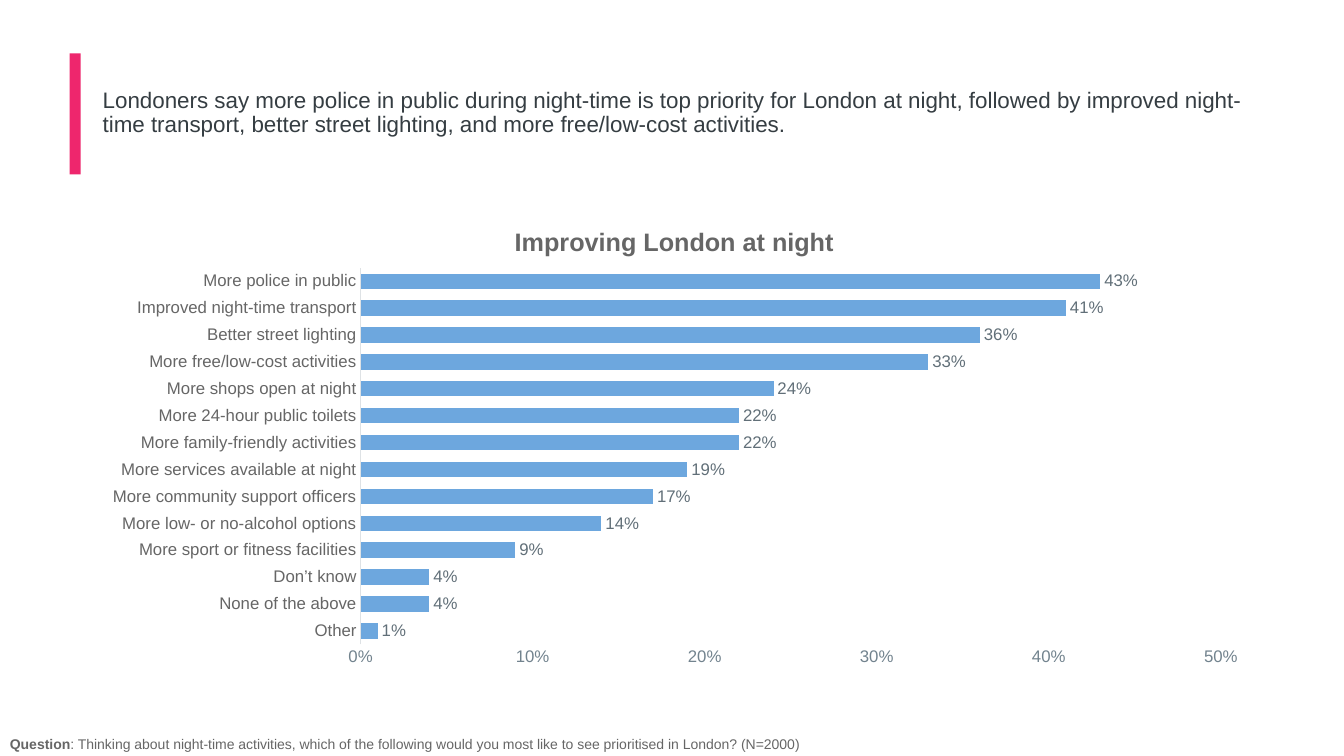
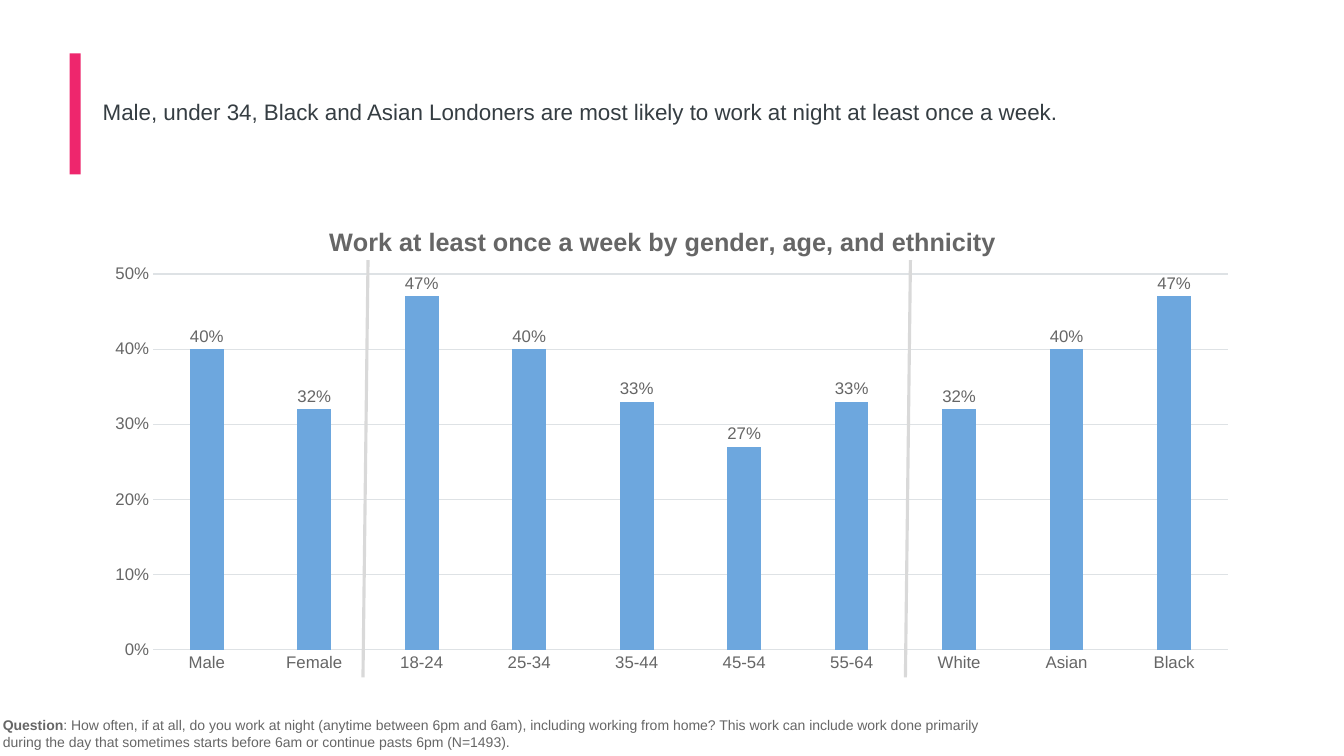
from dataclasses import dataclass

from lxml import etree
from pptx import Presentation, chart as charts
from pptx import util as u
from pptx.chart.data import CategoryChartData
from pptx.dml.color import RGBColor
from pptx.enum import chart as chart_enum, shapes, text
from pptx.oxml import ns

# Shared style
FONT = "Arial"
PINK, BLUE = "EE266D", "6DA7DE"
INK, GREY, SLATE, STEEL = "353D42", "666666", "72838E", "616F78"
GRID, DIVIDER = "DEE2E5", "D9D9D9"
CHART_LEFT, CHART_TOP, CHART_WIDTH, CHART_HEIGHT = 0.92, 2, 11.5, 4.76


@dataclass
class BarChart:
    title: str
    title_at: tuple[float, float]
    plot_at: tuple[float, float, float, float]
    kind: chart_enum.XL_CHART_TYPE
    values: dict[str, float]
    number_format: str
    gap: int
    overlap: int
    gridlines: bool
    scale_color: str
    label_color: str


@dataclass
class Footer:
    left: float
    top: float
    width: float
    height: float
    question: str


@dataclass
class Divider:
    top_x: float
    bottom_x: float
    top: float = 2.58
    bottom: float = 6.72


@dataclass
class Page:
    title: str
    title_width: float
    chart: BarChart
    footer: Footer
    dividers: tuple[Divider, ...] = ()


def color(value: str) -> RGBColor:
    return RGBColor.from_string(value)


def style_font(font, size: float, value: str, bold: bool = False) -> None:
    font.name, font.size, font.bold = FONT, u.Pt(size), bold
    font.color.rgb = color(value)


def style_line(line, value: str, width: float) -> None:
    line.color.rgb = color(value)
    line.width = u.Pt(width)


def add_text_box(page, left: float, top: float, width: float, height: float):
    box = page.shapes.add_textbox(u.Inches(left), u.Inches(top), u.Inches(width), u.Inches(height))
    box.text_frame.word_wrap = True
    return box.text_frame


# Title with its pink band
def add_title(page, title: str, width: float) -> None:
    band = page.shapes.add_shape(shapes.MSO_SHAPE.RECTANGLE, u.Inches(0.69), u.Inches(0.53),
                                 u.Inches(0.11), u.Inches(1.2))
    band.shadow.inherit = False
    band.fill.solid()
    band.fill.fore_color.rgb = color(PINK)
    band.line.fill.background()

    frame = add_text_box(page, CHART_LEFT, 0.4, width, 1.45)
    frame.vertical_anchor = text.MSO_ANCHOR.MIDDLE
    para = frame.paragraphs[0]
    para.text = title
    para.line_spacing = 0.9
    style_font(para.font, 16, INK)


# Survey question at the foot
def add_footer(page, footer: Footer) -> None:
    frame = add_text_box(page, footer.left, footer.top, footer.width, footer.height)
    frame.auto_size = text.MSO_AUTO_SIZE.SHAPE_TO_FIT_TEXT
    para = frame.paragraphs[0]
    style_font(para.font, 10, GREY)
    for words, bold in (("Question", True), (f": {footer.question}", False)):
        span = para.add_run()
        span.text = words
        span.font.bold = bold


def add_divider(page, divider: Divider) -> None:
    line = page.shapes.add_connector(shapes.MSO_CONNECTOR.STRAIGHT,
                                     u.Inches(divider.top_x), u.Inches(divider.top),
                                     u.Inches(divider.bottom_x), u.Inches(divider.bottom))
    style_line(line.line, DIVIDER, 2.25)
    etree.SubElement(line._element.spPr, ns.qn("a:effectLst"))


# Chart parts
def set_layout(parent, index: int, settings: dict) -> None:
    for old in parent.findall(ns.qn("c:layout")):
        parent.remove(old)
    layout = etree.Element(ns.qn("c:layout"))
    manual = etree.SubElement(layout, ns.qn("c:manualLayout"))
    for tag, value in settings.items():
        etree.SubElement(manual, ns.qn(f"c:{tag}")).set("val", str(value))
    parent.insert(index, layout)


def style_axis(axis, value: str) -> None:
    axis.major_tick_mark = axis.minor_tick_mark = chart_enum.XL_TICK_MARK.NONE
    style_font(axis.tick_labels.font, 12, value)


def add_bar_chart(page, bars: BarChart) -> None:
    data = CategoryChartData(number_format=bars.number_format)
    data.categories = list(bars.values)
    data.add_series("Series 1", list(bars.values.values()))
    chart = page.shapes.add_chart(bars.kind, u.Inches(CHART_LEFT), u.Inches(CHART_TOP),
                                  u.Inches(CHART_WIDTH), u.Inches(CHART_HEIGHT), data).chart
    chart.has_legend = False
    style_font(chart.font, 12, GREY)

    chart.has_title = True
    para = chart.chart_title.text_frame.paragraphs[0]
    para.text = bars.title
    style_font(para.font, 18, GREY, bold=True)
    edges = {"xMode": "edge", "yMode": "edge"}
    set_layout(chart.chart_title._element, 1, edges | dict(zip("xy", bars.title_at)))
    set_layout(chart._chartSpace.chart.plotArea, 0,
               {"layoutTarget": "inner"} | edges | dict(zip("xywh", bars.plot_at)))

    style_axis(chart.category_axis, GREY)
    style_line(chart.category_axis.format.line, GRID, 0.75)
    scale = chart.value_axis
    style_axis(scale, bars.scale_color)
    scale.format.line.fill.background()
    scale.minimum_scale, scale.maximum_scale, scale.major_unit = 0, 0.5, 0.1
    scale.tick_labels.number_format = bars.number_format
    scale.tick_labels.number_format_is_linked = False
    scale.has_major_gridlines = bars.gridlines
    if bars.gridlines:
        style_line(scale.major_gridlines.format.line, GRID, 0.75)

    plot = chart.plots[0]
    plot.gap_width, plot.overlap, plot.vary_by_categories = bars.gap, bars.overlap, False
    fill = plot.series[0].format.fill
    fill.solid()
    fill.fore_color.rgb = color(BLUE)
    plot.has_data_labels = True
    labels = plot.data_labels
    labels.show_value = True
    labels.position = chart_enum.XL_LABEL_POSITION.OUTSIDE_END
    labels.number_format, labels.number_format_is_linked = bars.number_format, False
    style_font(labels.font, 12, bars.label_color)


# Content
PAGES = (
    Page(
        "Londoners say more police in public during night-time is top priority for London at night, "
        "followed by improved night-time transport, better street lighting, and more "
        "free/low-cost activities.",
        11.75,
        BarChart(
            title="Improving London at night",
            title_at=(0.36, 0.04),
            plot_at=(0.231, 0.138, 0.742, 0.785),
            kind=chart_enum.XL_CHART_TYPE.BAR_CLUSTERED,
            values={
                "Other": 0.01,
                "None of the above": 0.04,
                "Don’t know": 0.04,
                "More sport or fitness facilities": 0.09,
                "More low- or no-alcohol options": 0.14,
                "More community support officers": 0.17,
                "More services available at night": 0.19,
                "More family-friendly activities": 0.22,
                "More 24-hour public toilets": 0.22,
                "More shops open at night": 0.24,
                "More free/low-cost activities": 0.33,
                "Better street lighting": 0.36,
                "Improved night-time transport": 0.41,
                "More police in public": 0.43,
            },
            number_format="###0%", gap=75, overlap=0, gridlines=False,
            scale_color=SLATE, label_color=STEEL,
        ),
        Footer(0, 7.25, 9.77, 0.27,
               "Thinking about night-time activities, which of the following would you most like "
               "to see prioritised in London? (N=2000)"),
    ),
    Page(
        "Male, under 34, Black and Asian Londoners are most likely to work at night at least "
        "once a week.",
        11.5,
        BarChart(
            title="Work at least once a week by gender, age, and ethnicity",
            title_at=(0.2, 0.04),
            plot_at=(0.052, 0.151, 0.927, 0.783),
            kind=chart_enum.XL_CHART_TYPE.COLUMN_CLUSTERED,
            values={
                "Male": 0.4, "Female": 0.32,
                "18-24": 0.47, "25-34": 0.4, "35-44": 0.33, "45-54": 0.27, "55-64": 0.33,
                "White": 0.32, "Asian": 0.4, "Black": 0.47,
            },
            number_format="0%", gap=219, overlap=-27, gridlines=True,
            scale_color=GREY, label_color=GREY,
        ),
        Footer(-0.07, 7.06, 9.95, 0.44,
               "How often, if at all, do you work at night (anytime between 6pm and 6am), including "
               "working from home? This work can include work done primarily during the day that "
               "sometimes starts before 6am or continue pasts 6pm (N=1493)."),
        (Divider(3.65, 3.6), Divider(9.03, 8.98)),
    ),
)


def main() -> None:
    deck = Presentation()
    deck.slide_width, deck.slide_height = u.Inches(13.33), u.Inches(7.5)
    for content in PAGES:
        page = deck.slides.add_slide(deck.slide_layouts[6])
        add_title(page, content.title, content.title_width)
        add_bar_chart(page, content.chart)
        for divider in content.dividers:
            add_divider(page, divider)
        add_footer(page, content.footer)
    deck.save("out.pptx")


if __name__ == "__main__":
    main()
